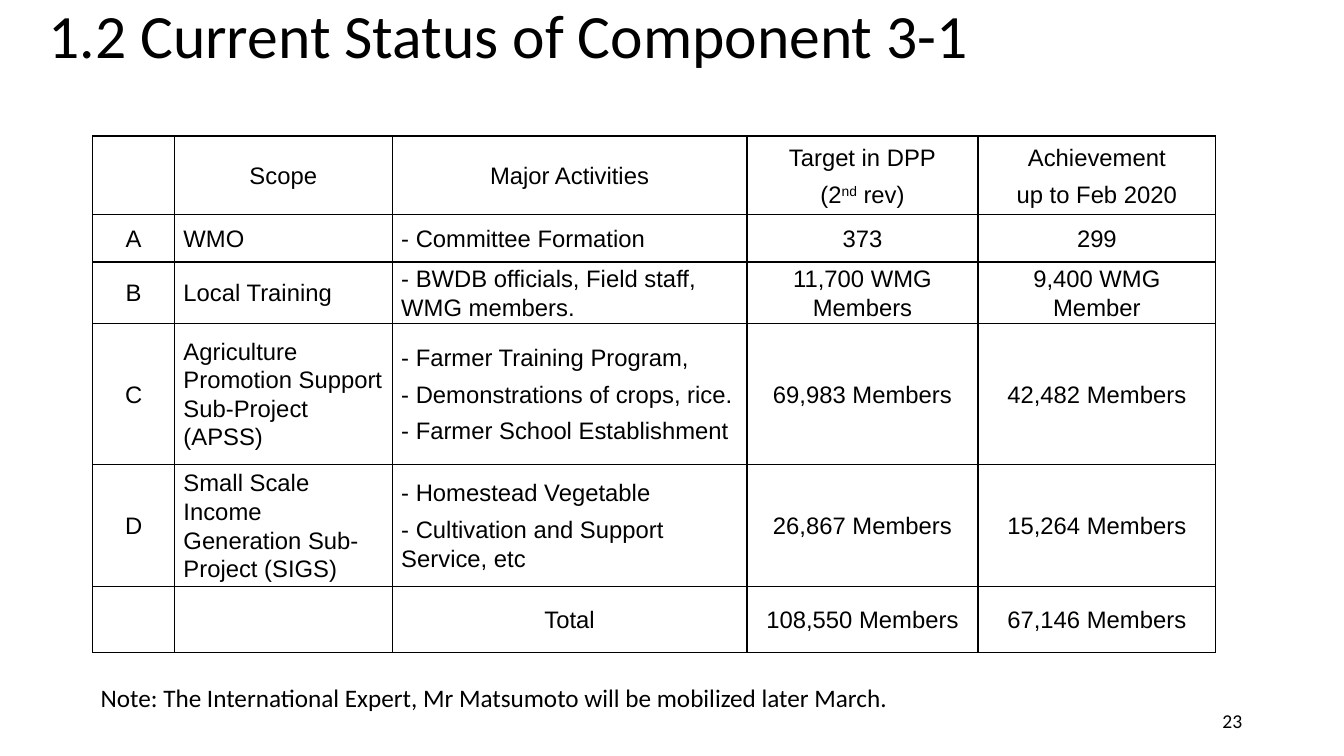
from dataclasses import dataclass
from lxml.etree import SubElement
from pptx import Presentation
from pptx.dml.color import RGBColor
from pptx.enum.text import MSO_ANCHOR, MSO_AUTO_SIZE, PP_ALIGN
from pptx.oxml.ns import qn
from pptx.util import Inches, Pt


@dataclass(frozen=True)
class Theme:
    ink: RGBColor = RGBColor(0, 0, 0)
    paper: RGBColor = RGBColor(255, 255, 255)
    head: str = "Calibri"
    body: str = "Arial"
    title: int = 44
    note: int = 18
    page: int = 14
    cell: int = 17
    rule: int = 1


class Deck:
    def __init__(self, theme):
        self.theme = theme
        self.file = Presentation()
        self.file.slide_width = Inches(13.33)
        self.file.slide_height = Inches(7.5)
        self.slide = self.file.slides.add_slide(self.file.slide_layouts[5])

    def style(self, para, face, size, align):
        para.alignment = align
        para.font.name = face
        para.font.size = Pt(size)
        para.font.color.rgb = self.theme.ink

    def title(self, text, left, top, width, height):
        shape = self.slide.shapes.title
        shape.left, shape.top = Inches(left), Inches(top)
        shape.width, shape.height = Inches(width), Inches(height)
        frame = shape.text_frame
        frame.text = text
        frame.auto_size = MSO_AUTO_SIZE.NONE
        frame.vertical_anchor = MSO_ANCHOR.TOP
        para = frame.paragraphs[0]
        para.line_spacing = 0.9
        self.style(para, self.theme.head, self.theme.title, PP_ALIGN.LEFT)

    def text(self, text, box, size, align=PP_ALIGN.LEFT, anchor=MSO_ANCHOR.TOP):
        frame = self.slide.shapes.add_textbox(*map(Inches, box)).text_frame
        frame.word_wrap = True
        frame.vertical_anchor = anchor
        frame.text = text
        self.style(frame.paragraphs[0], self.theme.head, size, align)

    def border(self, cell):
        props = cell._tc.get_or_add_tcPr()
        for side in ("lnL", "lnR", "lnT", "lnB"):
            line = SubElement(props, qn(f"a:{side}"), w=str(Pt(self.theme.rule)))
            fill = SubElement(line, qn("a:solidFill"))
            SubElement(fill, qn("a:srgbClr"), val=str(self.theme.ink))

    def cell(self, cell, text, align):
        self.border(cell)
        cell.fill.solid()
        cell.fill.fore_color.rgb = self.theme.paper
        cell.vertical_anchor = MSO_ANCHOR.MIDDLE
        cell.margin_left = cell.margin_right = Inches(0.09)
        cell.margin_top = cell.margin_bottom = 0
        frame = cell.text_frame
        for i, line in enumerate(text.split("\n")):
            para = frame.add_paragraph() if i else frame.paragraphs[0]
            para.line_spacing = 1.07
            if i:
                para.space_before = Pt(6)
            self.style(para, self.theme.body, self.theme.cell, align)
            for j, part in enumerate(line.split("^")):
                if part:
                    run = para.add_run()
                    run.text = part
                    if j % 2:
                        run._r.get_or_add_rPr().set("baseline", "30000")

    def table(self, rows, left, top, widths, heights):
        grid = self.slide.shapes.add_table(
            len(rows), len(widths), Inches(left), Inches(top),
            Inches(sum(widths)), Inches(sum(heights))).table
        grid.first_row = grid.horz_banding = False
        for col, width in zip(grid.columns, widths):
            col.width = Inches(width)
        for row, height in zip(grid.rows, heights):
            row.height = Inches(height)
        last = len(rows) - 1
        for r, row in enumerate(rows):
            for c, text in enumerate(row):
                plain = c in (1, 2) and 0 < r < last
                align = PP_ALIGN.LEFT if plain else PP_ALIGN.CENTER
                self.cell(grid.cell(r, c), text, align)


ROWS = [
    ("", "Scope", "Major Activities", "Target in DPP\n(2^nd^ rev)",
     "Achievement\nup to Feb 2020"),
    ("A", "WMO", "- Committee Formation", "373", "299"),
    ("B", "Local Training", "- BWDB officials, Field staff, WMG members.",
     "11,700 WMG Members", "9,400 WMG Member"),
    ("C", "Agriculture Promotion Support Sub-Project (APSS)",
     "- Farmer Training Program,\n- Demonstrations of crops, rice.\n"
     "- Farmer School Establishment",
     "69,983 Members", "42,482 Members"),
    ("D", "Small Scale Income Generation Sub-Project (SIGS)",
     "- Homestead Vegetable\n- Cultivation and Support Service, etc",
     "26,867 Members", "15,264 Members"),
    ("", "", "Total", "108,550 Members", "67,146 Members"),
]


def main():
    theme = Theme()
    deck = Deck(theme)
    deck.title("1.2 Current Status of Component 3-1", 0.38, 0, 11.5, 1.45)
    deck.text("23", (9.42, 6.95, 3, 0.4), theme.page,
              PP_ALIGN.RIGHT, MSO_ANCHOR.MIDDLE)
    deck.table(ROWS, 0.92, 1.35, (0.81, 2.16, 3.52, 2.29, 2.36),
               (0.78, 0.47, 0.59, 1.4, 1.2, 0.65))
    deck.text("Note: The International Expert, Mr Matsumoto will be "
              "mobilized later March.", (0.9, 6.72, 8.1, 0.4), theme.note)
    deck.file.save("out.pptx")


if __name__ == "__main__":
    main()
